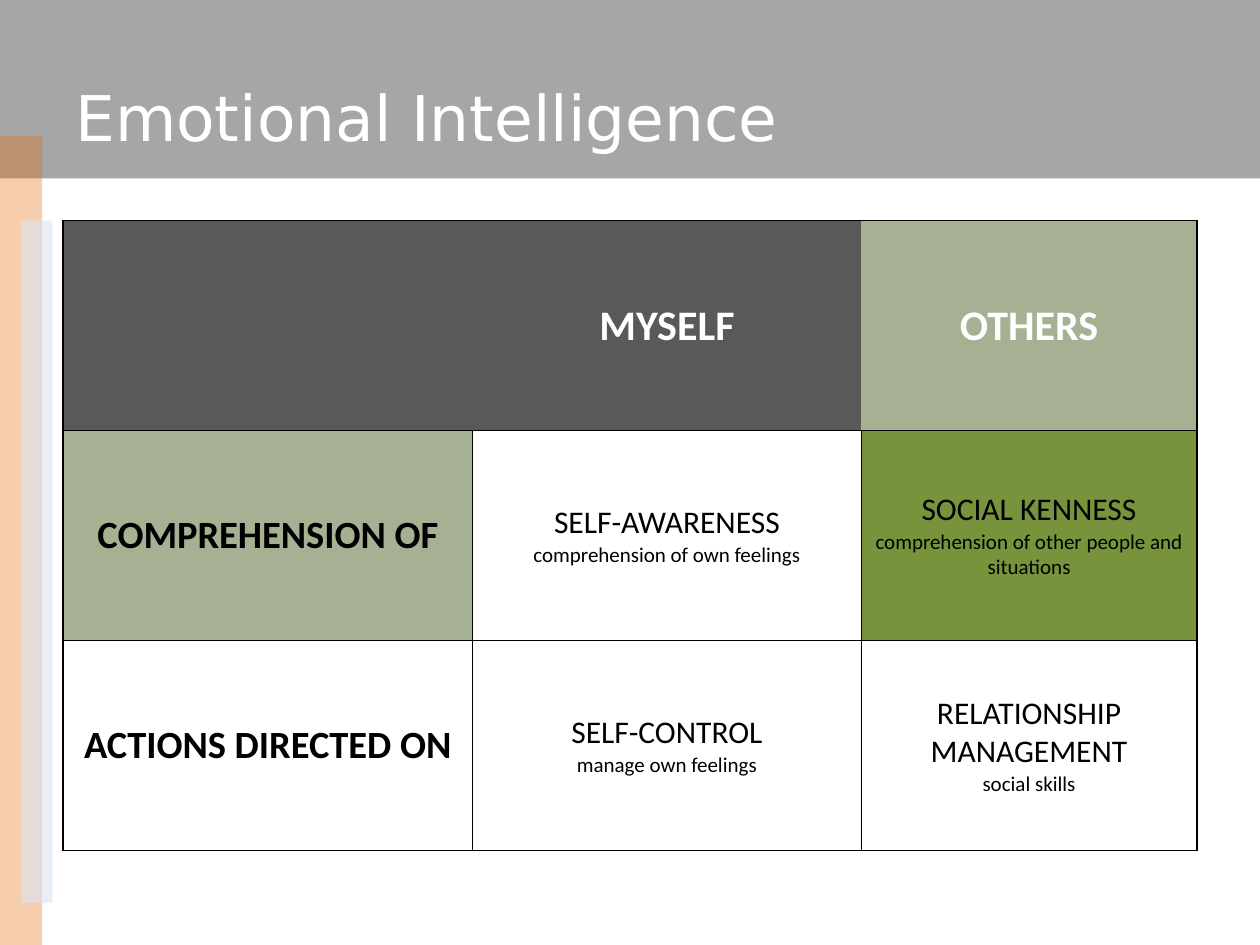
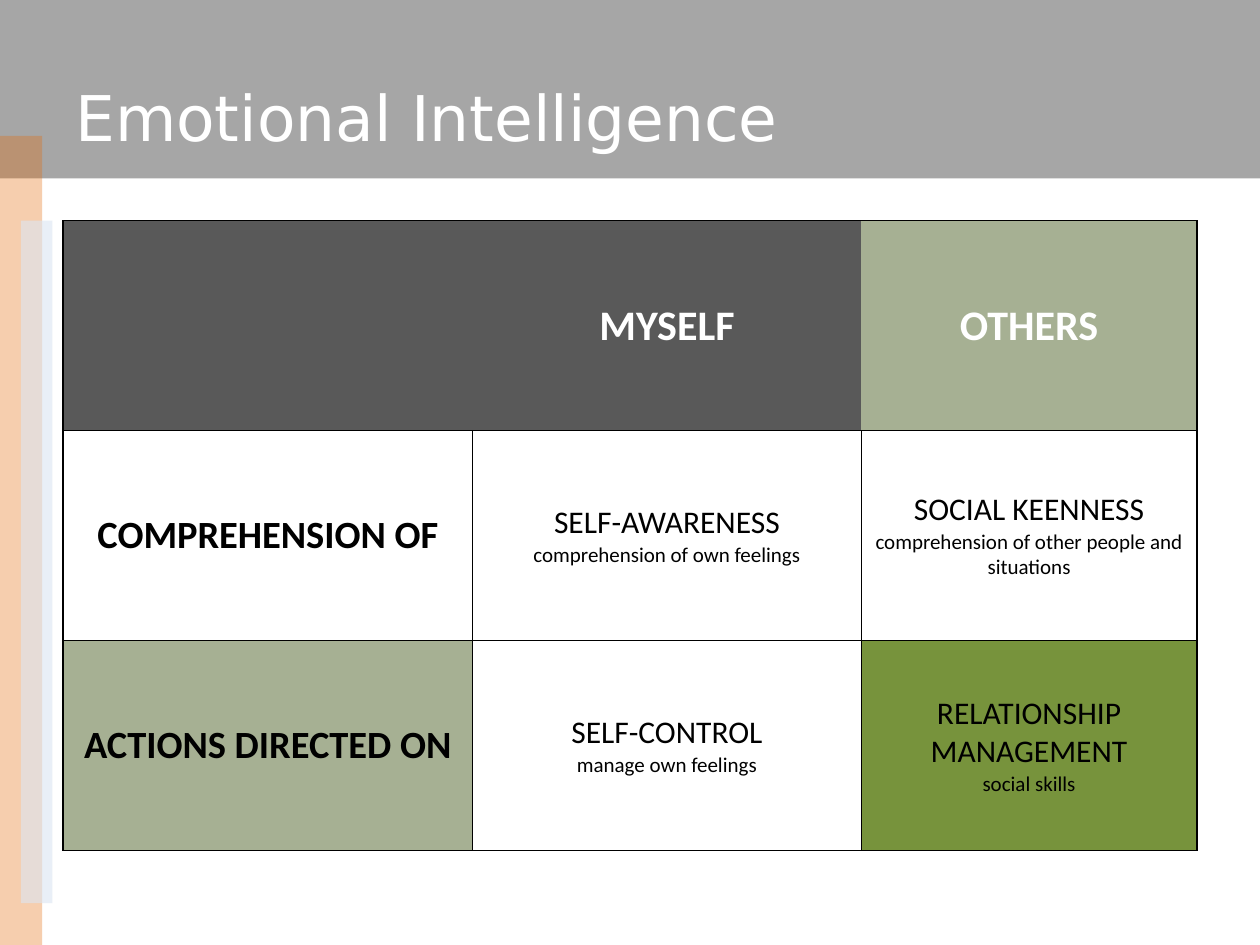
from dataclasses import dataclass

from lxml import etree
from pptx import Presentation
from pptx import util as u
from pptx.dml.color import RGBColor
from pptx.enum import shapes, text
from pptx.oxml.ns import qn

Cm, Pt = u.Cm, u.Pt

TITLE = "Emotional Intelligence"
# Each slide lights up one row of the grid.
SLIDES = [
    {"social": "SOCIAL KENNESS", "lit": 1},
    {"social": "SOCIAL KEENNESS", "lit": 2},
]


def grid(social):
    """Rows of cells; a cell is a list of lines, heading first."""
    return [
        [[], ["MYSELF"], ["OTHERS"]],
        [["COMPREHENSION OF"],
         ["SELF-AWARENESS", "comprehension of own feelings"],
         [social, "comprehension of other people and situations"]],
        [["ACTIONS DIRECTED ON"],
         ["SELF-CONTROL", "manage own feelings"],
         ["RELATIONSHIP MANAGEMENT", "social skills"]],
    ]


@dataclass(frozen=True)
class Theme:
    white: str = "FFFFFF"
    black: str = "000000"
    band: str = "A6A6A6"
    orange: str = "E46C0A"
    pale: str = "DCE6F2"
    dark: str = "595959"
    moss: str = "4F6228"
    green: str = "77933C"
    face: str = "DejaVu Sans"
    body: str = "Calibri"
    title: int = 36
    head: int = 24
    side: int = 22
    main: int = 18
    note: int = 12
    rule: float = 0.75


T = Theme()
WIDE, HIGH = 25.4, 19.05
LEFT, TOP = 1.27, 4.45
COLS = [8.26, 7.83, 6.77]
TALL = 12.7
ORANGE_TOP = 2.74

# left, top, width, height, colour, opacity in percent
BANDS = [
    (0, 0, WIDE, 3.6, T.band, 100),
    (0, ORANGE_TOP, 0.85, HIGH - ORANGE_TOP, T.orange, 33),
    (0.42, TOP, 0.64, 13.76, T.pale, 61),
]


def paint(fill, tint, alpha=100):
    fill.solid()
    fill.fore_color.rgb = RGBColor.from_string(tint)
    if alpha < 100:
        color = fill._xPr.find(".//" + qn("a:srgbClr"))
        etree.SubElement(color, qn("a:alpha"), val=str(alpha * 1000))


def style(para, size, tint, face=T.body, bold=False):
    font = para.font
    font.name, font.size, font.bold = face, Pt(size), bold
    font.color.rgb = RGBColor.from_string(tint)


def edge(cell, sides):
    """Rule the named sides (any of L, R, T, B) and clear the others."""
    props = cell._tc.get_or_add_tcPr()
    for spot, side in enumerate("LRTB"):
        line = etree.Element(qn("a:ln" + side), w=str(Pt(T.rule)))
        if side in sides:
            fill = etree.SubElement(line, qn("a:solidFill"))
            etree.SubElement(fill, qn("a:srgbClr"), val=T.black)
        else:
            etree.SubElement(line, qn("a:noFill"))
        props.insert(spot, line)


def shade(row, col, lit):
    """Fill colour and opacity of a cell, or None when it is clear."""
    if row == 0:
        return (T.moss, 50) if col == 2 else (T.dark, 100)
    if row == lit:
        return {0: (T.moss, 50), 2: (T.green, 100)}.get(col)
    return None


def sides(row, col):
    if row:
        return "LRTB"
    return "TB" + {0: "L", 2: "R"}.get(col, "")


def write(cell, lines, row, col):
    cell.vertical_anchor = text.MSO_ANCHOR.MIDDLE
    frame = cell.text_frame
    frame.text = "\n".join(lines)
    for rank, para in enumerate(frame.paragraphs):
        para.alignment = text.PP_ALIGN.CENTER
        if row == 0:
            style(para, T.head, T.white, bold=True)
        elif col == 0:
            style(para, T.side, T.black, bold=True)
        else:
            style(para, T.note if rank else T.main, T.black)


def matrix(slide, rows, lit):
    frame = slide.shapes.add_table(len(rows), len(COLS), Cm(LEFT), Cm(TOP),
                                   Cm(sum(COLS)), Cm(TALL))
    table = frame.table
    table.first_row = table.horz_banding = False
    for col, width in zip(table.columns, COLS):
        col.width = Cm(width)
    for r, line in enumerate(rows):
        table.rows[r].height = Cm(TALL / len(rows))
        for c, lines in enumerate(line):
            cell = table.cell(r, c)
            write(cell, lines, r, c)
            tone = shade(r, c, lit)
            if tone:
                paint(cell.fill, *tone)
            else:
                cell.fill.background()
            edge(cell, sides(r, c))


def base(slide):
    """Draw the bands that every slide shares."""
    for x, y, w, h, tint, alpha in BANDS:
        band = slide.shapes.add_shape(shapes.MSO_SHAPE.RECTANGLE,
                                      Cm(x), Cm(y), Cm(w), Cm(h))
        band.shadow.inherit = False
        band.line.fill.background()
        paint(band.fill, tint, alpha)


def title(slide):
    box = slide.shapes.add_textbox(Cm(LEFT), Cm(0.76), Cm(sum(COLS)), Cm(3.18))
    frame = box.text_frame
    frame.word_wrap = True
    frame.vertical_anchor = text.MSO_ANCHOR.MIDDLE
    frame.text = TITLE
    style(frame.paragraphs[0], T.title, T.white, T.face)


def main():
    deck = Presentation()
    deck.slide_width, deck.slide_height = Cm(WIDE), Cm(HIGH)
    for item in SLIDES:
        slide = deck.slides.add_slide(deck.slide_layouts[6])
        base(slide)
        matrix(slide, grid(item["social"]), item["lit"])
        title(slide)
    deck.save("out.pptx")


if __name__ == "__main__":
    main()
